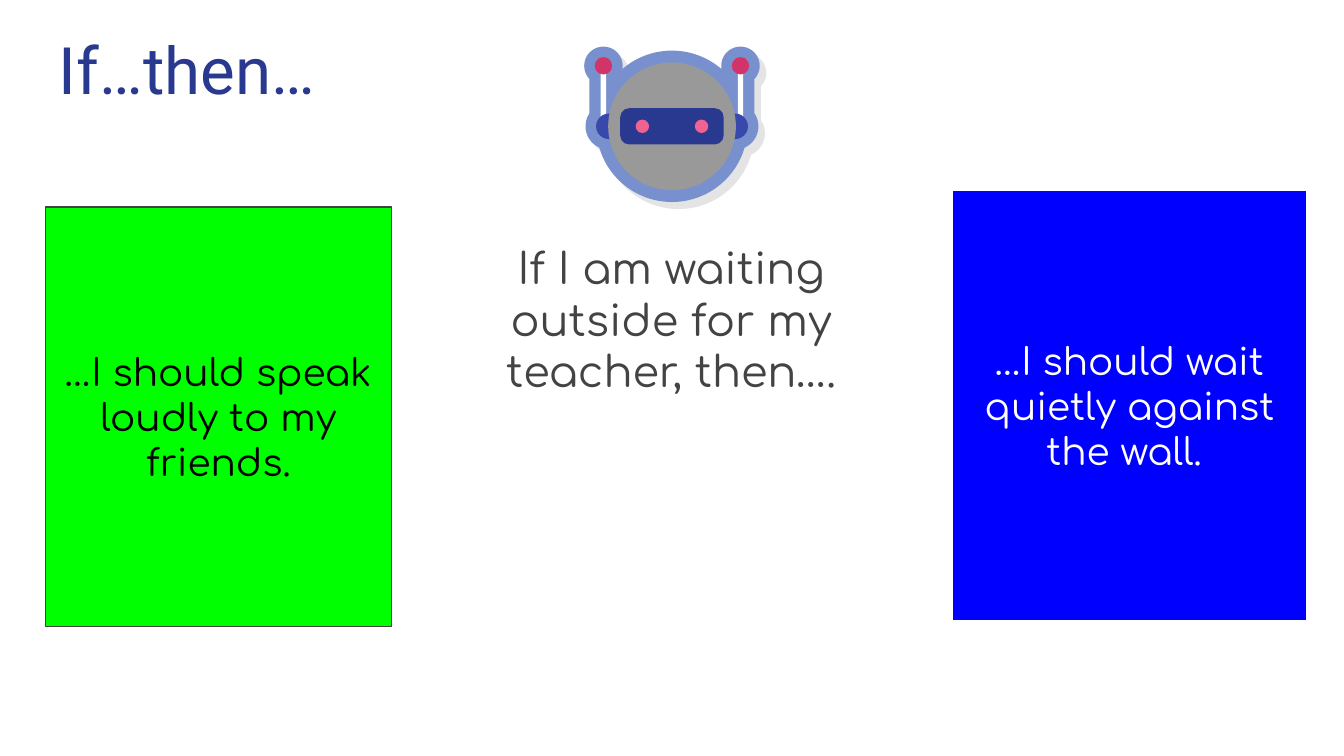
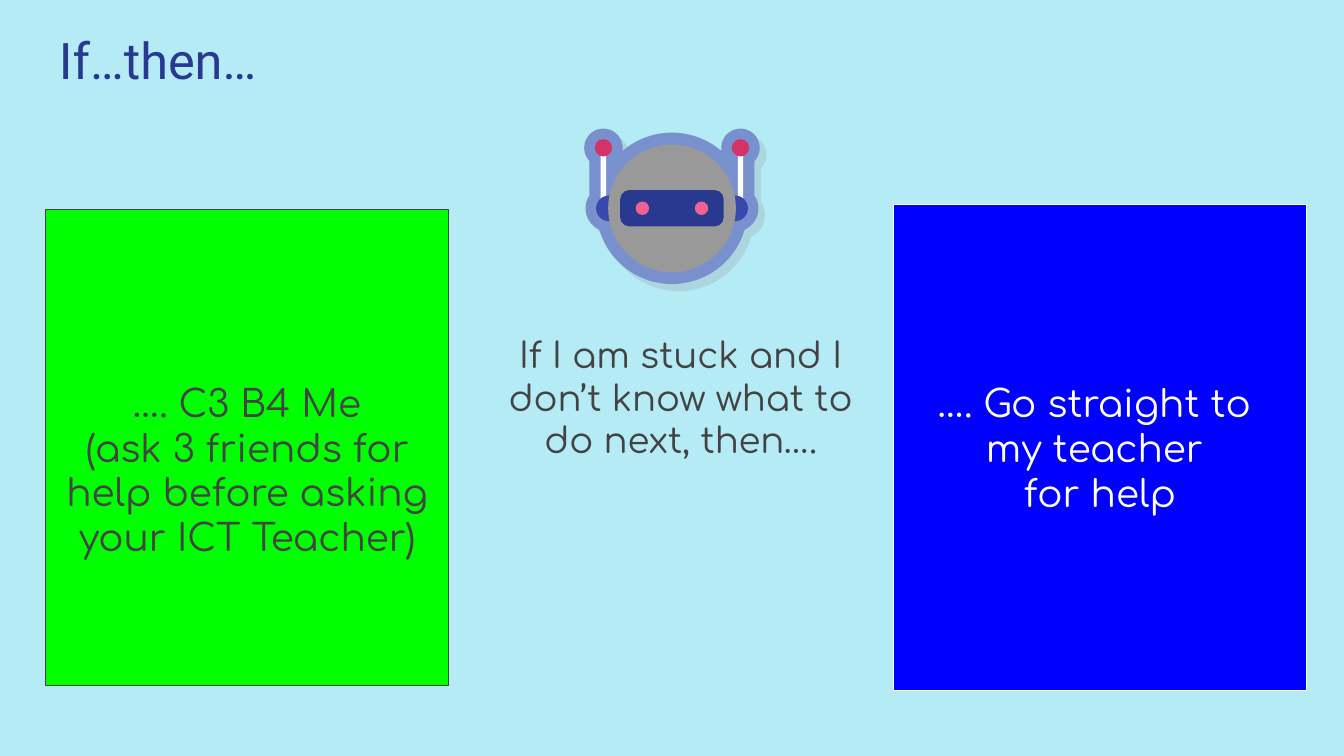
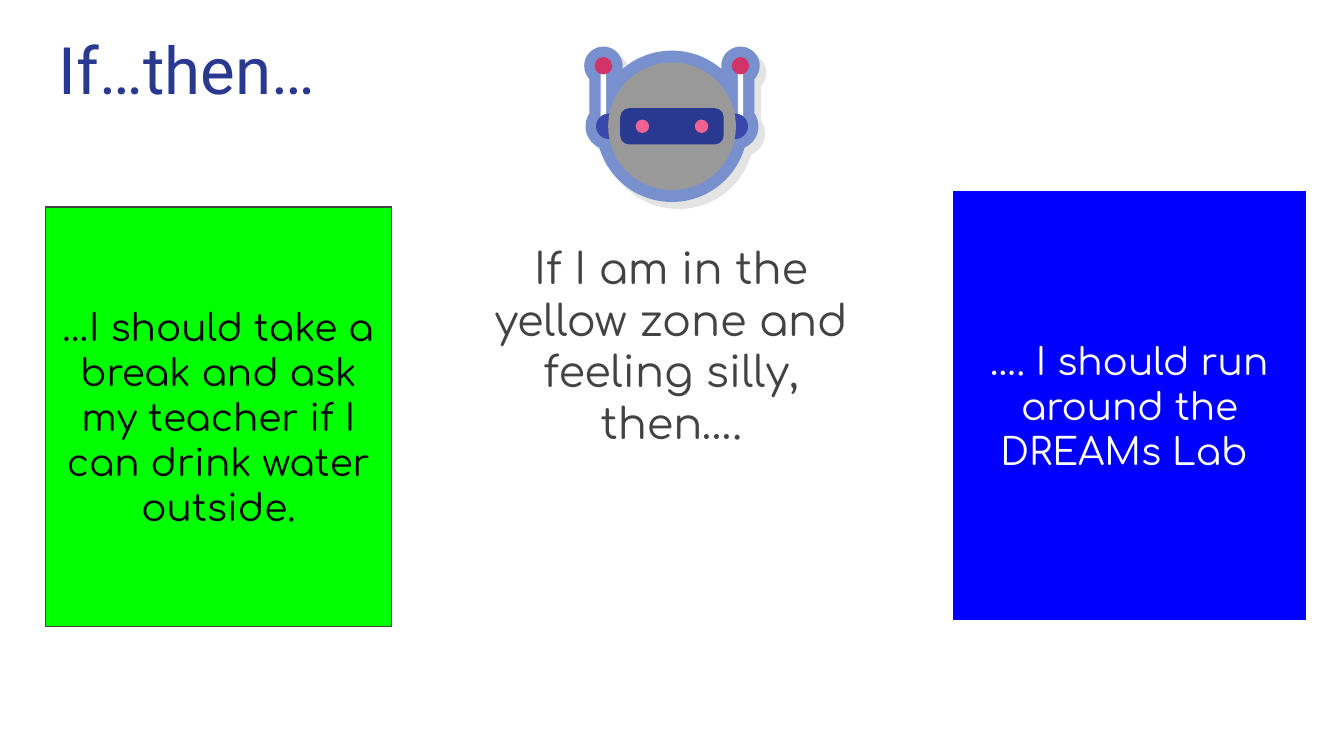
from math import cos, radians, sin

from lxml import etree
from pptx import Presentation
from pptx.dml.color import RGBColor
from pptx.enum.shapes import MSO_SHAPE
from pptx.enum.text import MSO_ANCHOR, PP_ALIGN
from pptx.oxml.ns import qn
from pptx.util import Inches, Pt

RECT = MSO_SHAPE.RECTANGLE
OVAL = MSO_SHAPE.OVAL
ROUNDED = MSO_SHAPE.ROUNDED_RECTANGLE
CENTER = PP_ALIGN.CENTER
MIDDLE = MSO_ANCHOR.MIDDLE

COLORS = {
    "white": "FFFFFF", "black": "000000", "sky": "B4EBF5",
    "navy": "2A3990", "text": "434343", "green": "00FF00",
    "blue": "0000FF", "halo": "7890CD", "face": "999999",
    "bulb": "D23369", "ear": "3949AB", "eye": "F06292",
}
SLIDE_WIDTH = 10
SLIDE_HEIGHT = SLIDE_WIDTH * 9 / 16
TITLE = "If…then…"
TITLE_AREA = (0.34, 0.12, 9.32, 0.66)
TITLE_FONT, BODY_FONT = "Roboto", "Comfortaa"
ANSWER_SIZE = 20
INSET = 0.07

# Positions are left, top, width, height in inches
WIDE_GAP = {
    "background": "white", "title_size": 35, "prompt_size": 23,
    "prompt": (3.54, 1.73, 2.91, 1.46), "green": (0.34, 1.54, 2.57, 3.12),
    "blue": (7.09, 1.42, 2.63, 3.2), "green_text": "black",
    "green_drop": 0, "robot_y": 0.94,
}
NARROW_GAP = {
    "background": "sky", "title_size": 27, "prompt_size": 19,
    "prompt": (3.61, 2.41, 2.91, 1.46), "green": (0.34, 1.56, 3, 3.54),
    "blue": (6.65, 1.52, 3.07, 3.62), "green_text": "text",
    "green_drop": 0.33, "robot_y": 1.55,
}

# Layout, prompt, green answer, blue answer
SLIDES = [
    (WIDE_GAP, "If I am waiting outside for my teacher, then….",
     "…I should speak loudly to my friends.",
     "…I should wait quietly against the wall. "),
    (NARROW_GAP, "If I am stuck and I don’t know what to do next, then….",
     "…. C3 B4 Me\n(ask 3 friends for help before asking your ICT Teacher)",
     "…. Go straight to \nmy teacher \nfor help"),
    (WIDE_GAP, "If I am in the yellow zone and feeling silly, then….",
     "…I should take a break and ask my teacher if I can drink water outside.",
     "…. I should run around the DREAMs Lab "),
]

# Robot parts around the centre of the head: shape, centre x, centre y,
# width, height, colour; parts off the axis appear on both sides
ROBOT_X = 5
ROBOT_PARTS = [
    (ROUNDED, 0.51, -0.23, 0.04, 0.49, "white"),
    (OVAL, 0.51, -0.45, 0.13, 0.13, "bulb"),
    (OVAL, 0.47, 0, 0.19, 0.19, "ear"),
    (OVAL, 0, 0, 0.95, 0.95, "face"),
    (ROUNDED, 0, 0, 0.77, 0.27, "navy"),
    (OVAL, 0.22, 0, 0.1, 0.1, "eye"),
]


def color(name):
    return RGBColor.from_string(COLORS[name])


def paint(shape, fill, line=None, width=0):
    shape.shadow.inherit = False
    shape.fill.solid()
    shape.fill.fore_color.rgb = color(fill)
    if line:
        shape.line.color.rgb = color(line)
        shape.line.width = Pt(width)
    else:
        shape.line.fill.background()


def write(box, text, size, font, ink, align=None, inset=INSET, drop=0):
    frame = box.text_frame
    frame.text = text
    frame.word_wrap = True
    frame.margin_left = frame.margin_right = frame.margin_bottom = Inches(inset)
    frame.margin_top = Inches(inset + drop)
    for para in frame.paragraphs:
        para.alignment = align
        for span in para.runs:
            span.font.size = Pt(size)
            span.font.name = font
            span.font.color.rgb = color(ink)


def add_text(page, area, *style, **options):
    box = page.shapes.add_textbox(*map(Inches, area))
    write(box, *style, **options)


def add_answer(page, area, text, fill, line, ink, drop=0):
    card = page.shapes.add_shape(RECT, *map(Inches, area))
    paint(card, fill, line, 0.56)
    write(card, text, ANSWER_SIZE, BODY_FONT, ink, CENTER, drop=drop)
    card.text_frame.vertical_anchor = MIDDLE


# Robot
def arc(x, y, radius, start, end, steps=24):
    angles = [radians(start + (end - start) * i / steps) for i in range(steps + 1)]
    return [(x + radius * cos(a), y + radius * sin(a)) for a in angles]


def silhouette():
    right = (arc(0, 0, 0.48, -90, -11) + [(0.49, -0.09)]
             + arc(0.51, -0.45, 0.06, 110, 430)
             + arc(0.47, 0, 0.09, -48, 90) + arc(0, 0, 0.48, 11, 90))
    return right + [(-x, y) for x, y in reversed(right)]


def add_halo(group, center_y):
    points = [(Inches(ROBOT_X + x), Inches(center_y + y)) for x, y in silhouette()]
    builder = group.shapes.build_freeform(*points[0])
    builder.add_line_segments(points[1:], close=True)
    halo = builder.convert_to_shape()
    paint(halo, "halo", "halo", 12)
    properties = halo.element.spPr
    etree.SubElement(properties.find(qn("a:ln")), qn("a:round"))
    shadow = etree.SubElement(
        properties.find(qn("a:effectLst")), qn("a:outerShdw"),
        dist=str(Pt(5.2)), dir=str(47 * 60000), algn="bl", rotWithShape="0")
    tint = etree.SubElement(shadow, qn("a:srgbClr"), val=COLORS["face"])
    etree.SubElement(tint, qn("a:alpha"), val="26000")


def add_robot(page, center_y):
    group = page.shapes.add_group_shape()
    add_halo(group, center_y)
    for kind, x, y, width, height, fill in ROBOT_PARTS:
        for offset in ((-x, x) if x else (0,)):
            left = ROBOT_X + offset - width / 2
            top = center_y + y - height / 2
            part = group.shapes.add_shape(
                kind, Inches(left), Inches(top), Inches(width), Inches(height))
            paint(part, fill)
            if kind == ROUNDED:
                part.adjustments[0] = 0.5 if x else 0.25


def add_page(deck, layout, prompt, green, blue):
    page = deck.slides.add_slide(deck.slide_layouts[6])
    page.background.fill.solid()
    page.background.fill.fore_color.rgb = color(layout["background"])
    add_text(page, TITLE_AREA, TITLE, layout["title_size"], TITLE_FONT, "navy",
             inset=0.1)
    add_text(page, layout["prompt"], prompt, layout["prompt_size"], BODY_FONT,
             "text", align=CENTER)
    add_answer(page, layout["blue"], blue, "blue", "white", "white")
    add_answer(page, layout["green"], green, "green", "text",
               layout["green_text"], layout["green_drop"])
    add_robot(page, layout["robot_y"])


def main():
    deck = Presentation()
    deck.slide_width = Inches(SLIDE_WIDTH)
    deck.slide_height = Inches(SLIDE_HEIGHT)
    for content in SLIDES:
        add_page(deck, *content)
    deck.save("out.pptx")


if __name__ == "__main__":
    main()
